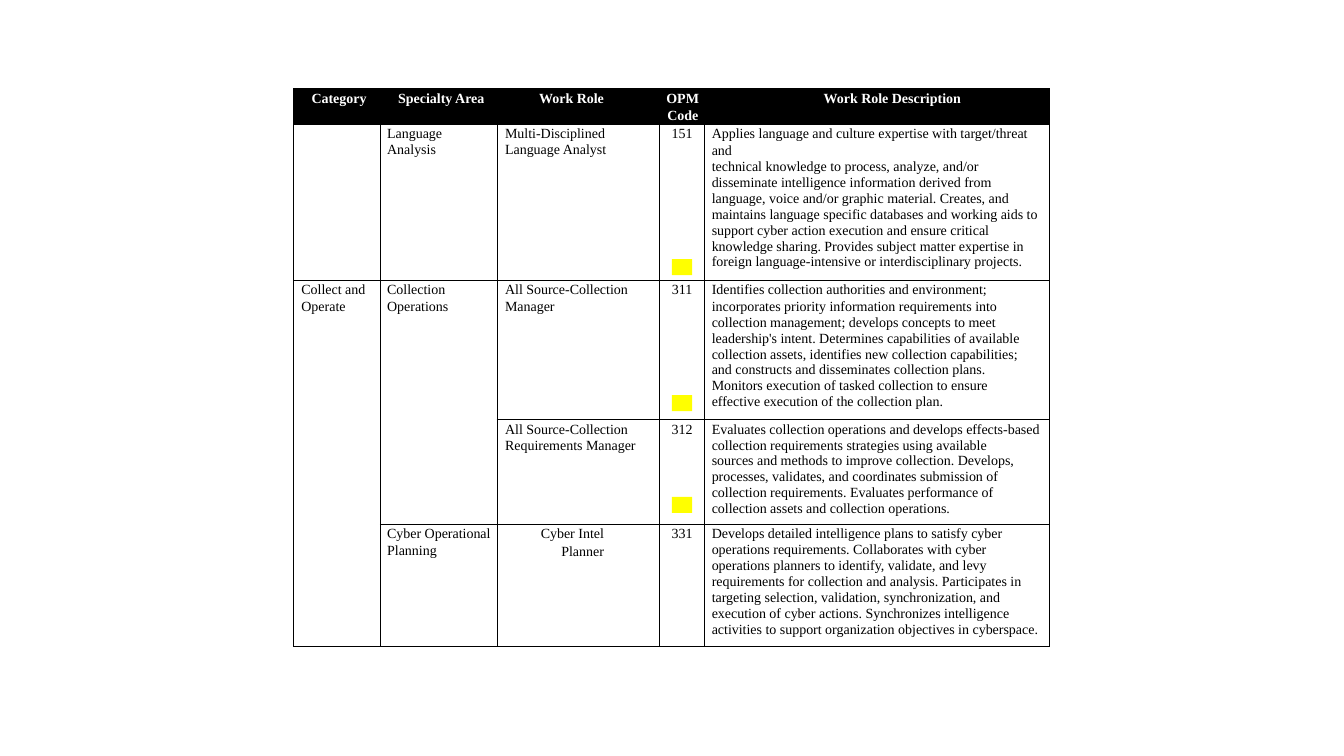
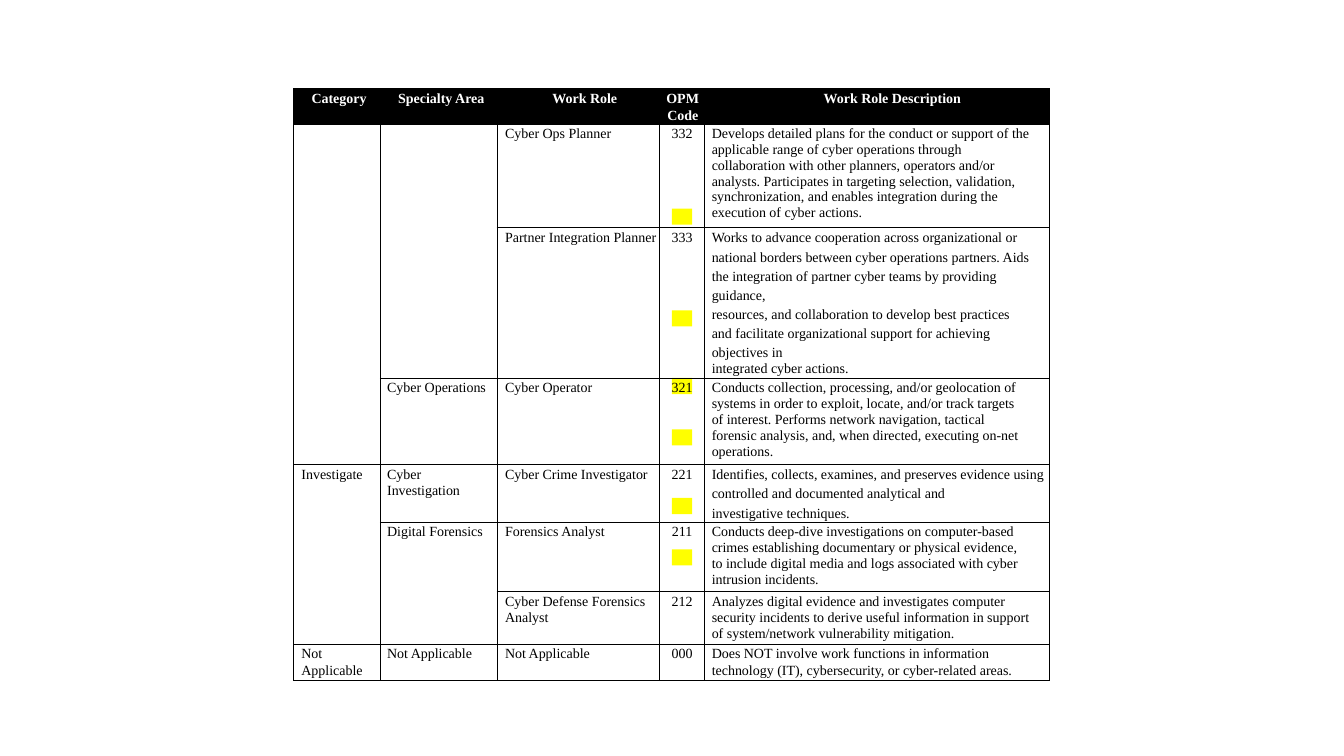
from itertools import takewhile

from lxml import etree
from pptx import Presentation
from pptx.dml.color import RGBColor
from pptx.enum.shapes import MSO_SHAPE
from pptx.enum.text import PP_ALIGN
from pptx.oxml.ns import qn
from pptx.util import Inches, Pt

RECTANGLE = MSO_SHAPE.RECTANGLE
LEFT, CENTER, RIGHT = PP_ALIGN.LEFT, PP_ALIGN.CENTER, PP_ALIGN.RIGHT

COLORS = {"ink": "000000", "paper": "FFFFFF", "mark": "FFFF00"}
FONT = {"name": "Times New Roman", "size": Pt(10)}

# Lengths are counted in squares of a grid of 1/100 inch.
GRID = Inches(0.01)
SLIDE_SIZE = (1333, 750)
TABLE_LEFT, TABLE_TOP = 291, 88
COLUMNS = (86, 116, 161, 45, 342)
CODE_COLUMN = 3
INDENTS = (8, 7, 8, 0, 7)
HEADER_HEIGHT = 35
MARK_WIDTH, MARK_HEIGHT = 20, 16
WIDE, NARROW = 9, 25  # right margins of the descriptions
ROLE_INSET = 55


def para(text, **formats):
    return {"text": text, **formats}


def body(text, right=NARROW, spacing=1.03):
    """Continuing paragraph of a description."""
    return para(text, right=right, line_spacing=spacing, space_before=Pt(0.1))


def header(role_format):
    return [
        [para("Category", left=18)],
        [para("Specialty Area", left=18)],
        [para("Work Role", **role_format)],
        [para("OPM", left=7, align=LEFT), para("Code", left=8, align=LEFT)],
        [para("Work Role Description", left=118)],
    ]


def lines(text):
    return [para(line) for line in text.split("\n")] if text else []


# Row: height, category, specialty area, work role, code, description.
# None continues the cell above.
COLLECT_ROWS = [
    (155, "", "Language\nAnalysis", "Multi-Disciplined\nLanguage Analyst", "151", [
        para("Applies language and culture expertise with target/threat and"),
        body("technical knowledge to process, analyze, and/or disseminate "
             "intelligence information derived from language, voice and/or "
             "graphic material. Creates, and maintains language specific "
             "databases and working aids to support cyber action execution "
             "and ensure critical knowledge sharing. Provides subject matter "
             "expertise in foreign language-intensive or interdisciplinary "
             "projects.", WIDE)]),
    (138, "Collect and\nOperate", "Collection\nOperations",
     "All Source-Collection\nManager", "311", [
         para("Identifies collection authorities and environment;"),
         para("incorporates priority information requirements into"),
         body("collection management; develops concepts to meet leadership's "
              "intent. Determines capabilities of available collection assets, "
              "identifies new collection capabilities; and constructs and "
              "disseminates collection plans. Monitors execution of tasked "
              "collection to ensure effective execution of the collection "
              "plan.")]),
    (104, None, None, "All Source-Collection\nRequirements Manager", "312", [
        para("Evaluates collection operations and develops effects-based"),
        body("collection requirements strategies using available sources and "
             "methods to improve collection. Develops, processes, validates, "
             "and coordinates submission of collection requirements. Evaluates "
             "performance of collection assets and collection operations.")]),
    (121, None, "Cyber Operational\nPlanning",
     [para("Cyber Intel Planner", align=RIGHT, right=ROLE_INSET)], "331", [
         para("Develops detailed intelligence plans to satisfy cyber"),
         body("operations requirements. Collaborates with cyber operations "
              "planners to identify, validate, and levy requirements for "
              "collection and analysis. Participates in targeting selection, "
              "validation, synchronization, and execution of cyber actions. "
              "Synchronizes intelligence activities to support organization "
              "objectives in cyberspace.", WIDE)]),
]

INVESTIGATE_ROWS = [
    (103, "", "", "Cyber Ops Planner", "332", [
        para("Develops detailed plans for the conduct or support of the"),
        body("applicable range of cyber operations through collaboration with "
             "other planners, operators and/or analysts. Participates in "
             "targeting selection, validation, synchronization, and enables "
             "integration during the execution of cyber actions.")]),
    (149, None, None, "Partner Integration Planner", "333", [
        para("Works to advance cooperation across organizational or"),
        body("national borders between cyber operations partners. Aids the "
             "integration of partner cyber teams by providing guidance,",
             WIDE, Pt(13.8)),
        body("resources, and collaboration to develop best practices and "
             "facilitate organizational support for achieving objectives in",
             NARROW, Pt(13.5)),
        body("integrated cyber actions.", spacing=1.0)]),
    (86, None, "Cyber Operations", "Cyber Operator", "321", [
        para("Conducts collection, processing, and/or geolocation of"),
        body("systems in order to exploit, locate, and/or track targets of "
             "interest. Performs network navigation, tactical forensic "
             "analysis, and, when directed, executing on-net operations.")]),
    (57, "Investigate", "Cyber\nInvestigation", "Cyber Crime Investigator", "221", [
        para("Identifies, collects, examines, and preserves evidence using"),
        body("controlled and documented analytical and investigative "
             "techniques.", 60, Pt(13.8))]),
    (69, None, "Digital Forensics", "Forensics Analyst", "211", [
        para("Conducts deep-dive investigations on computer-based"),
        body("crimes establishing documentary or physical evidence, to include "
             "digital media and logs associated with cyber intrusion "
             "incidents.")]),
    (52, None, None, "Cyber Defense Forensics\nAnalyst", "212", [
        para("Analyzes digital evidence and investigates computer"),
        body("security incidents to derive useful information in support of "
             "system/network vulnerability mitigation.", WIDE)]),
    (36, "Not\nApplicable", "Not Applicable", "Not Applicable", "000", [
        para("Does NOT involve work functions in information"),
        para("technology (IT), cybersecurity, or cyber-related areas.")]),
]


class RoleDeck:
    """Holds the table style and the current slide."""

    def __init__(self):
        self.prs = Presentation()
        self.prs.slide_width, self.prs.slide_height = (n * GRID for n in SLIDE_SIZE)
        self.slide = None

    def color(self, key):
        return RGBColor.from_string(COLORS[key])

    def add_slide(self):
        self.slide = self.prs.slides.add_slide(self.prs.slide_layouts[6])

    def mark(self, top):
        """Yellow block centred in the code column."""
        left = (TABLE_LEFT + sum(COLUMNS[:CODE_COLUMN])
                + (COLUMNS[CODE_COLUMN] - MARK_WIDTH) / 2)
        block = self.slide.shapes.add_shape(
            RECTANGLE, int(left * GRID), top * GRID,
            MARK_WIDTH * GRID, MARK_HEIGHT * GRID)
        block.shadow.inherit = False
        block.fill.solid()
        block.fill.fore_color.rgb = self.color("mark")
        block.line.fill.background()

    def borders(self, cell):
        properties = cell._tc.get_or_add_tcPr()
        for position, side in enumerate(("a:lnL", "a:lnR", "a:lnT", "a:lnB")):
            line = etree.Element(qn(side), w=str(Pt(0.5)))
            fill = etree.SubElement(line, qn("a:solidFill"))
            etree.SubElement(fill, qn("a:srgbClr"), val=COLORS["ink"])
            properties.insert(position, line)

    def paragraph(self, paragraph, content, defaults, text_style):
        style = {**defaults, **content}
        margins = paragraph._p.get_or_add_pPr()
        for name, key in (("marL", "left"), ("marR", "right")):
            margins.set(name, str(style[key] * GRID))
        margins.set("indent", "0")
        formats = {"alignment": style["align"],
                   "line_spacing": style["line_spacing"],
                   "space_before": style["space_before"]}
        for name, value in formats.items():
            setattr(paragraph, name, value)
        run = paragraph.add_run()
        run.text = style["text"]
        for name, value in {**FONT, "bold": text_style["bold"]}.items():
            setattr(run.font, name, value)
        run.font.color.rgb = self.color(text_style["color"])

    def cell(self, cell, contents, column, is_header, first_spacing):
        for side in ("left", "right", "top", "bottom"):
            setattr(cell, f"margin_{side}", 0)
        if is_header:
            cell.fill.solid()
            cell.fill.fore_color.rgb = self.color("ink")
        else:
            cell.fill.background()
        self.borders(cell)
        text_style = {"bold": is_header, "color": "paper" if is_header else "ink"}
        frame = cell.text_frame
        for index, content in enumerate(contents):
            defaults = {
                "left": INDENTS[column], "right": 0,
                "align": CENTER if column == CODE_COLUMN else LEFT,
                "line_spacing": 1.0 if index else Pt(first_spacing),
                "space_before": Pt(0.6 if index else 0)}
            target = frame.add_paragraph() if index else frame.paragraphs[0]
            self.paragraph(target, content, defaults, text_style)

    def role_table(self, role_header, rows):
        heights = [HEADER_HEIGHT] + [row[0] for row in rows]
        grid = [header(role_header)] + [row[1:] for row in rows]
        table = self.slide.shapes.add_table(
            len(grid), len(COLUMNS), TABLE_LEFT * GRID, TABLE_TOP * GRID,
            sum(COLUMNS) * GRID, sum(heights) * GRID).table
        table.first_row = table.horz_banding = False
        for column, width in enumerate(COLUMNS):
            table.columns[column].width = width * GRID
        for row, (height, entries) in enumerate(zip(heights, grid)):
            table.rows[row].height = height * GRID
            first_spacing = {0: 12.9, 1: 12.4}.get(row, 12.7)
            for column, entry in enumerate(entries):
                contents = entry if isinstance(entry, list) else lines(entry)
                self.cell(table.cell(row, column), contents, column,
                          row == 0, first_spacing)
        for row, entries in enumerate(grid):
            for column, entry in enumerate(entries):
                below = (later[column] for later in grid[row + 1:])
                extra = len(list(takewhile(lambda item: item is None, below)))
                if entry is not None and extra:
                    table.cell(row, column).merge(table.cell(row + extra, column))


def main():
    deck = RoleDeck()
    pages = (
        ({"align": RIGHT, "right": ROLE_INSET}, COLLECT_ROWS, (257, 392, 493)),
        ({"left": ROLE_INSET}, INVESTIGATE_ROWS, (207, 308, 375, 426, 494, 545)),
    )
    for role_header, rows, mark_tops in pages:
        deck.add_slide()
        for top in mark_tops:
            deck.mark(top)
        deck.role_table(role_header, rows)
    deck.prs.save("out.pptx")


if __name__ == "__main__":
    main()
